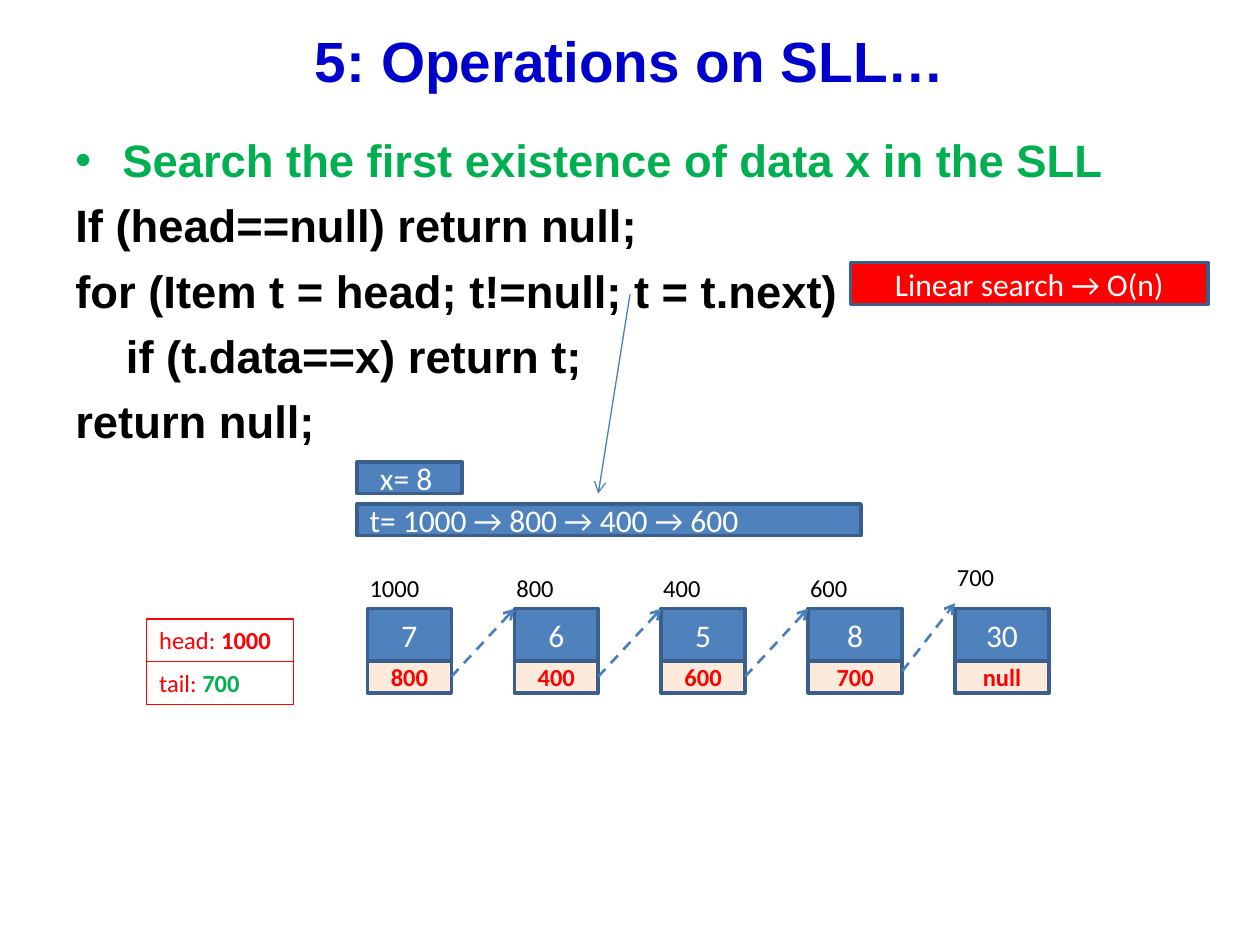
from dataclasses import dataclass
from typing import Optional

from lxml.etree import SubElement
from pptx import Presentation
from pptx.dml.color import RGBColor
from pptx.enum.dml import MSO_LINE
from pptx.enum.shapes import MSO_CONNECTOR, MSO_SHAPE
from pptx.enum.text import MSO_ANCHOR as Anchor, PP_ALIGN as Align
from pptx.oxml.ns import qn
from pptx.util import Cm, Pt

COLORS = {
    "title": "0000CC", "green": "00B050", "black": "000000", "white": "FFFFFF",
    "red": "FF0000", "blue": "4F81BD", "border": "3A5F8C", "cream": "FDEADA",
    "arrow": "4B7EBC",
}
HEADING = dict(name="Arial", size=Pt(32.4), bold=True, color="title")
BULLET = dict(name="Arial", size=Pt(25.9), bold=True, color="green")
CODE = {**BULLET, "color": "black"}
VALUE = dict(name="Calibri", size=Pt(18), bold=False, color="white")
LABEL = dict(name="Calibri", size=Pt(14), bold=False, color="black")
RED_LABEL = {**LABEL, "color": "red"}
POINTER = {**RED_LABEL, "bold": True}

NODE_LEFT, NODE_TOP, NODE_PITCH = 7.41, 12.27, 2.96
VALUE_HEIGHT, POINTER_HEIGHT = 1.06, 0.64
LABEL_HEIGHT = 0.86
HANGING = 0.95


@dataclass
class Node:
    address: str
    value: str
    pointer: str
    width: float
    lift: float = 0


@dataclass
class Box:
    left: float
    top: float
    width: float
    height: float
    fill: Optional[str] = None
    border: str = "border"
    weight: float = 2


@dataclass
class CodeLine:
    text: str
    style: dict
    margin: float = HANGING
    indent: float = -HANGING
    bullet: bool = False


NODES = [
    Node("1000", "7", "800", 1.69),
    Node("800", "6", "400", 1.69),
    Node("400", "5", "600", 1.69),
    Node("600", "8", "700", 1.9),
    Node("700", "30", "null", 1.9, 0.22),
]
CODE_LINES = [
    CodeLine("Search the first existence of data x in the SLL", BULLET, bullet=True),
    CodeLine("If (head==null) return null;", CODE),
    CodeLine("for (Item t = head; t!=null; t = t.next)", CODE),
    CodeLine("if (t.data==x) return t;", CODE, 1.02, 0),
    CodeLine("return null;", CODE),
]


def rgb(color: str) -> RGBColor:
    return RGBColor.from_string(COLORS[color])


def add_run(paragraph, text: str, style: dict) -> None:
    run = paragraph.add_run()
    run.text = text
    for key, value in style.items():
        if key == "color":
            run.font.color.rgb = rgb(value)
        else:
            setattr(run.font, key, value)


def add_box(slide, box: Box, runs: list, align=Align.CENTER, anchor=Anchor.MIDDLE) -> None:
    shape = slide.shapes.add_shape(
        MSO_SHAPE.RECTANGLE, Cm(box.left), Cm(box.top), Cm(box.width), Cm(box.height))
    shape.shadow.inherit = False
    if box.fill:
        shape.fill.solid()
        shape.fill.fore_color.rgb = rgb(box.fill)
    else:
        shape.fill.background()
    shape.line.color.rgb = rgb(box.border)
    shape.line.width = Pt(box.weight)
    shape.text_frame.word_wrap = True
    shape.text_frame.vertical_anchor = anchor
    paragraph = shape.text_frame.paragraphs[0]
    paragraph.alignment = align
    for text, style in runs:
        add_run(paragraph, text, style)


def add_text_frame(slide, left: float, top: float, width: float, height: float):
    shape = slide.shapes.add_textbox(Cm(left), Cm(top), Cm(width), Cm(height))
    shape.text_frame.word_wrap = True
    return shape.text_frame


def add_arrow(slide, start: tuple, end: tuple, weight: float, dashed: bool) -> None:
    connector = slide.shapes.add_connector(
        MSO_CONNECTOR.STRAIGHT, *(Cm(value) for value in (*start, *end)))
    connector.line.color.rgb = rgb("arrow")
    connector.line.width = Pt(weight)
    if dashed:
        connector.line.dash_style = MSO_LINE.DASH
    properties = connector._element.spPr
    SubElement(properties.find(qn("a:ln")), qn("a:tailEnd"), type="arrow")
    SubElement(properties, qn("a:effectLst"))


def add_title(slide) -> None:
    title = slide.shapes.title
    geometry = dict(left=Cm(1.27), top=Cm(0.43), width=Cm(22.86), height=Cm(1.57))
    for key, value in geometry.items():
        setattr(title, key, value)
    title.text_frame.vertical_anchor = Anchor.MIDDLE
    paragraph = title.text_frame.paragraphs[0]
    paragraph.alignment = Align.CENTER
    add_run(paragraph, "5: Operations on SLL…", HEADING)


def add_code(slide) -> None:
    frame = add_text_frame(slide, 1.27, 2.54, 22.43, 6.15)
    for index, line in enumerate(CODE_LINES):
        paragraph = frame.add_paragraph() if index else frame.paragraphs[0]
        paragraph.space_before = Pt(6.2)
        properties = paragraph._p.get_or_add_pPr()
        properties.set("marL", str(Cm(line.margin)))
        properties.set("indent", str(Cm(line.indent)))
        if line.bullet:
            SubElement(properties, qn("a:buFont"), typeface="Arial")
            SubElement(properties, qn("a:buChar"), char="•")
        add_run(paragraph, line.text, line.style)


def add_node(slide, node: Node, left: float) -> None:
    pointer_top = NODE_TOP + VALUE_HEIGHT
    add_box(slide, Box(left, NODE_TOP, node.width, VALUE_HEIGHT, "blue"), [(node.value, VALUE)])
    add_box(slide, Box(left, pointer_top, node.width, POINTER_HEIGHT, "cream"),
            [(node.pointer, POINTER)])
    frame = add_text_frame(slide, left - 0.21, 11.43 - node.lift, 1.9, LABEL_HEIGHT)
    add_run(frame.paragraphs[0], node.address, LABEL)


def add_list(slide) -> None:
    lefts = [NODE_LEFT + index * NODE_PITCH for index in range(len(NODES))]
    for node, left in zip(NODES, lefts):
        add_node(slide, node, left)
    for node, left, target, target_left in zip(NODES, lefts, NODES[1:], lefts[1:]):
        rise = target.lift / 2
        add_arrow(slide, (left + node.width, 13.64 - rise),
                  (target_left, NODE_TOP - rise), 1.5, True)


def main() -> None:
    presentation = Presentation()
    presentation.slide_width, presentation.slide_height = Cm(25.4), Cm(19.05)
    slide = presentation.slides.add_slide(presentation.slide_layouts[5])
    add_title(slide)
    add_code(slide)
    add_list(slide)
    ends = [("head: ", "1000", "red"), ("tail: ", "700", "green")]
    for index, (name, address, color) in enumerate(ends):
        box = Box(2.96, 12.48 + index * LABEL_HEIGHT, 2.96, LABEL_HEIGHT, None, "red", 0.75)
        add_box(slide, box, [(name, RED_LABEL), (address, {**POINTER, "color": color})],
                Align.LEFT, Anchor.TOP)
    add_box(slide, Box(17.15, 5.29, 7.2, 0.85, "red"), [("Linear search → O(n)", VALUE)])
    add_box(slide, Box(7.2, 9.31, 2.12, 0.64, "blue"), [("x= 8 ", VALUE)])
    add_box(slide, Box(7.2, 10.16, 10.16, 0.64, "blue"),
            [("t= 1000 → 800 → 400 → 600", VALUE)], Align.LEFT)
    add_arrow(slide, (12.7, 5.93), (12.06, 9.95), 0.75, False)
    presentation.save("out.pptx")


if __name__ == "__main__":
    main()
